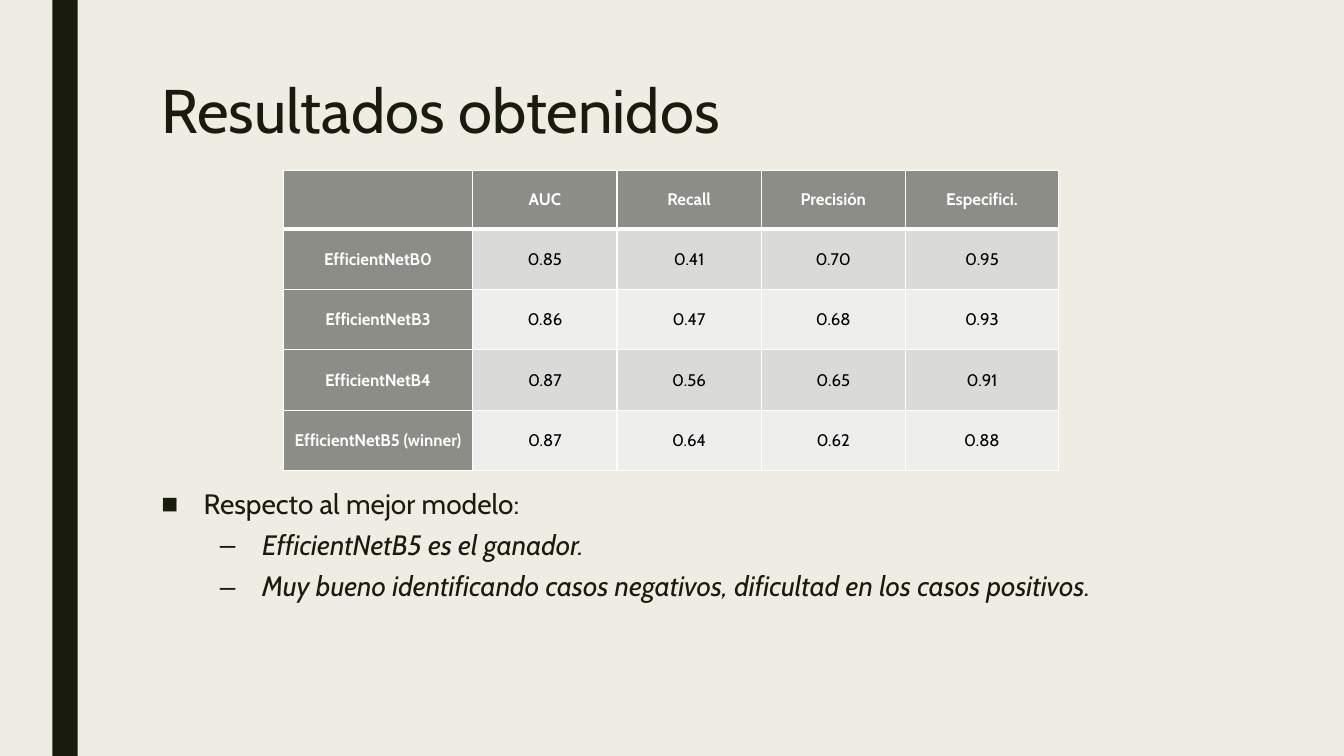
from lxml.etree import SubElement
from pptx import Presentation
from pptx.dml.color import RGBColor
from pptx.enum.shapes import MSO_SHAPE
from pptx.enum.text import MSO_ANCHOR, MSO_AUTO_SIZE, PP_ALIGN
from pptx.oxml.ns import qn
from pptx.util import Inches, Pt

CREAM = RGBColor(0xEF, 0xED, 0xE3)
DARK = RGBColor(0x19, 0x1B, 0x0E)
WHITE = RGBColor(0xFF, 0xFF, 0xFF)
BLACK = RGBColor(0x00, 0x00, 0x00)
HEADER_GRAY = RGBColor(0x8C, 0x8D, 0x86)
BAND_COLORS = (RGBColor(0xDA, 0xDB, 0xD9), RGBColor(0xEE, 0xEE, 0xED))

COLUMN_WIDTHS = (1.88, 1.43, 1.43, 1.43, 1.52)
ROW_HEIGHTS = (0.58, 0.6, 0.6, 0.6, 0.6)
RESULTS = (
    ("", "AUC", "Recall", "Precisión", "Especifici."),
    ("EfficientNetB0", "0.85", "0.41", "0.70", "0.95"),
    ("EfficientNetB3", "0.86", "0.47", "0.68", "0.93"),
    ("EfficientNetB4", "0.87", "0.56", "0.65", "0.91"),
    ("EfficientNetB5 (winner)", "0.87", "0.64", "0.62", "0.88"),
)
FINDINGS = (
    (0, "Respecto al mejor modelo:"),
    (1, "EfficientNetB5 es el ganador."),
    (1, "Muy bueno identificando casos negativos, dificultad en los casos positivos."),
)


class SlideBuilder:
    """Adds styled elements to the current slide."""

    font = "Cabin"

    def __init__(self, slide):
        self.slide = slide
        slide.background.fill.solid()
        slide.background.fill.fore_color.rgb = CREAM

    def place(self, shape, left, top, width, height):
        shape.left, shape.top = Inches(left), Inches(top)
        shape.width, shape.height = Inches(width), Inches(height)
        shape.text_frame.word_wrap = True
        shape.text_frame.auto_size = MSO_AUTO_SIZE.NONE
        shape.text_frame.vertical_anchor = MSO_ANCHOR.TOP

    def add_run(self, paragraph, text, size, color, bold=False, italic=False):
        run = paragraph.add_run()
        run.text = text
        run.font.name = self.font
        run.font.size = Pt(size)
        run.font.bold = bold
        run.font.italic = italic
        run.font.color.rgb = color

    def add_bar(self, left, top, width, height):
        bar = self.slide.shapes.add_shape(
            MSO_SHAPE.RECTANGLE, Inches(left), Inches(top), Inches(width), Inches(height)
        )
        bar.shadow.inherit = False
        bar.fill.solid()
        bar.fill.fore_color.rgb = DARK
        bar.line.fill.background()

    def add_title(self, text, *box):
        title = self.slide.shapes.title
        self.place(title, *box)
        paragraph = title.text_frame.paragraphs[0]
        paragraph.alignment = PP_ALIGN.LEFT
        paragraph.line_spacing = 0.89
        self.add_run(paragraph, text, 44, DARK)

    def add_list(self, items, *box):
        body = self.slide.placeholders[1]
        self.place(body, *box)
        frame = body.text_frame
        for index, (level, text) in enumerate(items):
            paragraph = frame.add_paragraph() if index else frame.paragraphs[0]
            paragraph.level = level
            paragraph.line_spacing = 0.94
            paragraph.space_before = Pt(5 if level else 10)
            paragraph.space_after = Pt(2)
            properties = paragraph._p.get_or_add_pPr()
            properties.set("marL", str(Inches(1 if level else 0.42)))
            properties.set("indent", str(Inches(-0.42)))
            SubElement(properties, qn("a:buChar"), char="–" if level else "■")
            self.add_run(paragraph, text, 20, DARK, italic=level > 0)

    def add_border(self, cell, side, width):
        line = SubElement(cell._tc.get_or_add_tcPr(), qn(f"a:ln{side}"), w=str(Pt(width)))
        fill = SubElement(line, qn("a:solidFill"))
        SubElement(fill, qn("a:srgbClr"), val=str(WHITE))

    def add_table(self, rows, left, top):
        table = self.slide.shapes.add_table(
            len(rows), len(rows[0]), Inches(left), Inches(top),
            Inches(sum(COLUMN_WIDTHS)), Inches(sum(ROW_HEIGHTS)),
        ).table
        table.horz_banding = False
        for column, width in zip(table.columns, COLUMN_WIDTHS):
            column.width = Inches(width)
        for row, height in zip(table.rows, ROW_HEIGHTS):
            row.height = Inches(height)
        for row_index, values in enumerate(rows):
            for column_index, text in enumerate(values):
                self.fill_cell(table.cell(row_index, column_index), text, row_index, column_index)

    def fill_cell(self, cell, text, row_index, column_index):
        heading = row_index == 0 or column_index == 0
        cell.margin_left = cell.margin_right = Inches(0.07)
        cell.margin_top = cell.margin_bottom = 0
        cell.vertical_anchor = MSO_ANCHOR.MIDDLE
        for side in "LRTB":
            thick = (side, row_index) in (("B", 0), ("T", 1))
            self.add_border(cell, side, 3 if thick else 1)
        cell.fill.solid()
        cell.fill.fore_color.rgb = HEADER_GRAY if heading else BAND_COLORS[(row_index - 1) % 2]
        if text:
            paragraph = cell.text_frame.paragraphs[0]
            paragraph.alignment = PP_ALIGN.CENTER
            self.add_run(paragraph, text, 12, WHITE if heading else BLACK, bold=heading)


def main():
    presentation = Presentation()
    presentation.slide_width = Inches(13.33)
    presentation.slide_height = Inches(7.5)
    builder = SlideBuilder(presentation.slides.add_slide(presentation.slide_layouts[1]))
    builder.add_bar(0.52, 0, 0.25, 7.5)
    builder.add_title("Resultados obtenidos", 1.5, 0.75, 10.5, 0.78)
    builder.add_table(RESULTS, 2.81, 1.69)
    builder.add_list(FINDINGS, 1.5, 4.8, 10.5, 1.95)
    presentation.save("out.pptx")


if __name__ == "__main__":
    main()
